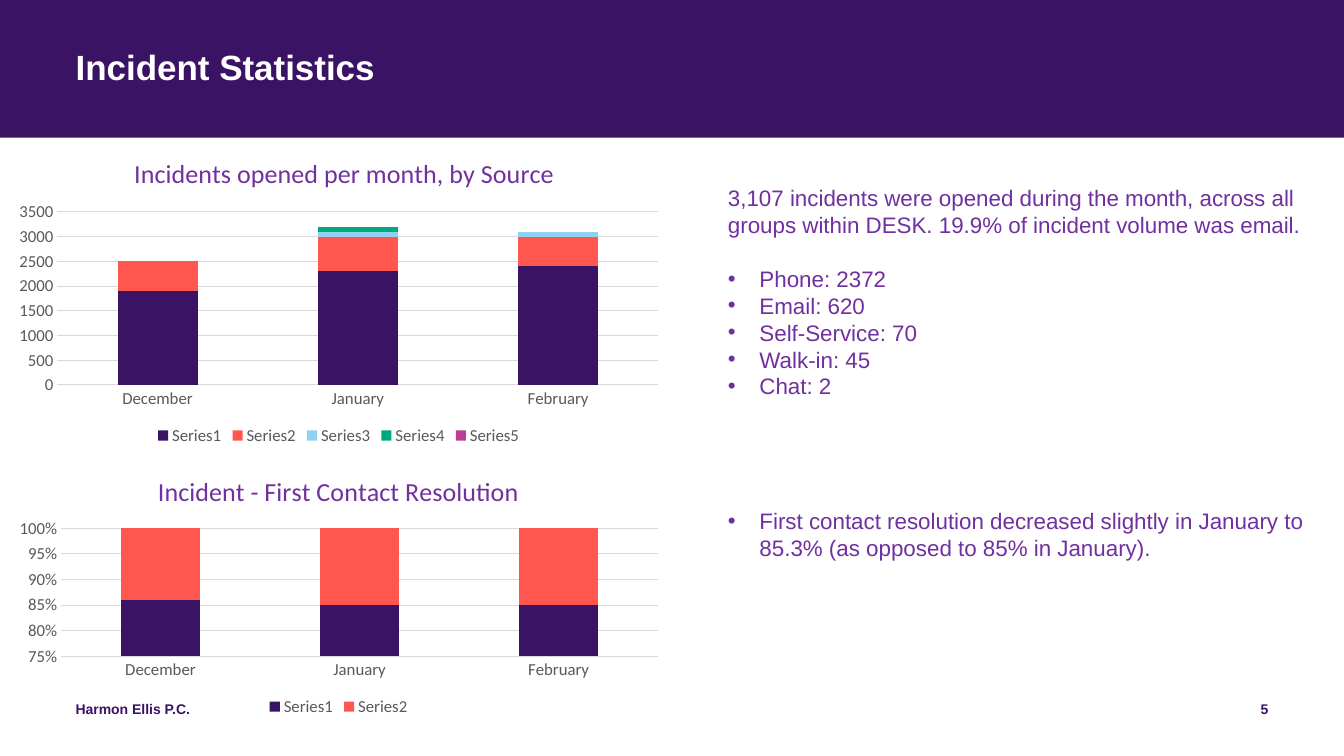
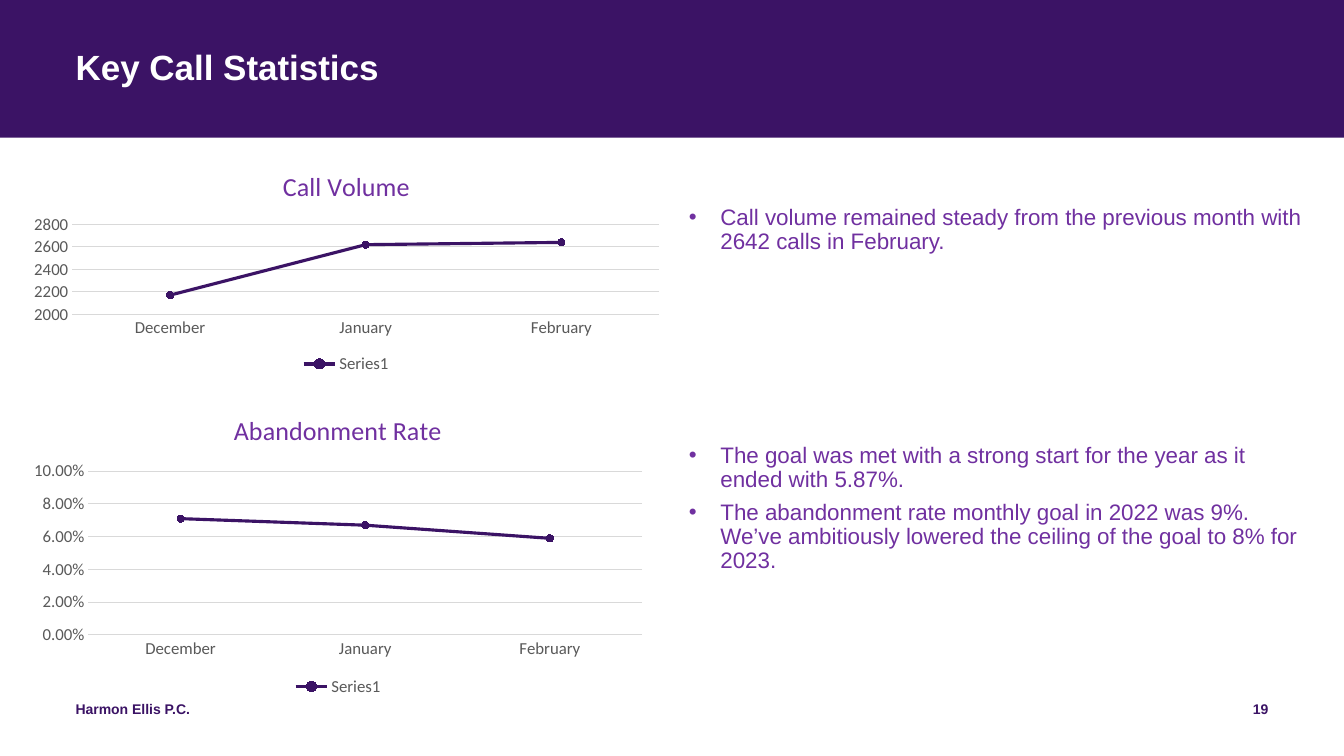
from dataclasses import dataclass
from typing import NamedTuple

from lxml import etree
from pptx import Presentation
from pptx import util as u
from pptx.chart import data
from pptx.dml import color
from pptx.enum import chart as ch
from pptx.enum import shapes, text
from pptx.oxml import ns

Pt = u.Pt


@dataclass(frozen=True)
class Theme:
    dark: str = "3B1365"
    body: str = "7030A0"
    white: str = "FFFFFF"
    gray: str = "595959"
    grid: str = "D9D9D9"
    fills: tuple[str, ...] = ("3B1365", "FF5750", "91D2F2", "00A87E", "BC3D95")
    font: str = "Arial"
    face: str = "Calibri"
    head: float = 25
    text: float = 16
    foot: float = 10
    title: float = 18.6
    label: float = 12


T = Theme()
WIDE, HIGH = 960, 540
EDGE = 54
INDENT = 22.5
FIRM = "Harmon Ellis P.C."
MONTHS = ("December", "January", "February")


class Box(NamedTuple):
    left: float
    top: float
    width: float
    height: float

    def emu(self) -> list[int]:
        return [Pt(n) for n in self]


class Scale(NamedTuple):
    low: float
    high: float
    step: float
    form: str


@dataclass(frozen=True)
class Graph:
    title: str
    kind: ch.XL_CHART_TYPE
    box: Box
    head: tuple[float, float]
    plot: Box
    scale: Scale
    rows: tuple[tuple[float, ...], ...]


@dataclass(frozen=True)
class Para:
    text: str
    bullet: bool = True
    before: float = 0


@dataclass(frozen=True)
class Note:
    box: Box
    paras: tuple[Para, ...]
    inset: tuple[float, float] = (0, 0)
    line: float = 0.9
    after: float = 6


@dataclass(frozen=True)
class Page:
    title: str
    number: str
    graphs: tuple[Graph, ...]
    notes: tuple[Note, ...]


STACK = ch.XL_CHART_TYPE.COLUMN_STACKED
SHARE = ch.XL_CHART_TYPE.COLUMN_STACKED_100
LINE = ch.XL_CHART_TYPE.LINE_MARKERS

PAGES = (
    Page(
        "Incident Statistics", "5",
        (
            Graph("Incidents opened per month, by Source", STACK,
                  Box(4.3, 100.8, 475.2, 220.3), (92.5, 107.2),
                  Box(41, 151.4, 429.3, 123.6), Scale(0, 3500, 500, "General"),
                  ((1900, 2300, 2400), (600, 700, 600), (0, 100, 100),
                   (0, 100, 0), (0, 0, 0))),
            Graph("Incident - First Contact Resolution", SHARE,
                  Box(4.3, 328.3, 475.2, 186.5), (109.5, 334.4),
                  Box(43.6, 377.4, 426.6, 91.4), Scale(0.75, 1, 0.05, "0%"),
                  ((86, 85, 85), (14, 15, 15))),
        ),
        (
            Note(Box(512.9, 128.2, 442.8, 356), (
                Para("3,107 incidents were opened during the month, across all groups "
                     "within DESK. 19.9% of incident volume was email.", False),
                Para("Phone: 2372", before=19.2),
                Para("Email: 620"),
                Para("Self-Service: 70"),
                Para("Walk-in: 45"),
                Para("Chat: 2"),
                Para("First contact resolution decreased slightly in January to 85.3% "
                     "(as opposed to 85% in January).", before=77),
            ), (7.2, 3.6), 1, 0),
        ),
    ),
    Page(
        "Key Call Statistics", "19",
        (
            Graph("Call Volume", LINE,
                  Box(15.1, 108.7, 464.4, 161.3), (198.7, 116.4),
                  Box(51.6, 160.4, 419.3, 64.2), Scale(2000, 2800, 200, "General"),
                  ((2170, 2620, 2640),)),
            Graph("Abandonment Rate", LINE,
                  Box(15.1, 282.2, 452.9, 218.2), (163.7, 291),
                  Box(63.1, 336.6, 395.7, 117), Scale(0, 0.1, 0.02, "0.00%"),
                  ((0.071, 0.067, 0.059),)),
        ),
        (
            Note(Box(492.1, 147.2, 444.2, 110), (
                Para("Call volume remained steady from the previous month with 2642 "
                     "calls in February."),
            )),
            Note(Box(492.1, 317.2, 444.2, 180), (
                Para("The goal was met with a strong start for the year as it ended "
                     "with 5.87%."),
                Para("The abandonment rate monthly goal in 2022 was 9%. We’ve "
                     "ambitiously lowered the ceiling of the goal to 8% for 2023."),
            )),
        ),
    ),
)


def rgb(code: str) -> color.RGBColor:
    return color.RGBColor.from_string(code)


def style(font, name: str, size: float, code: str, bold: bool = False) -> None:
    font.name, font.size, font.bold = name, Pt(size), bold
    font.color.rgb = rgb(code)


def frame(slide, box: Box, inset: tuple[float, float] = (0, 0)):
    """Add a wrapping text box and return its text frame."""
    body = slide.shapes.add_textbox(*box.emu()).text_frame
    body.word_wrap = True
    body.margin_left = body.margin_right = Pt(inset[0])
    body.margin_top = body.margin_bottom = Pt(inset[1])
    return body


def label(slide, box: Box, words: str, size: float, code: str, right: bool = False) -> None:
    para = frame(slide, box).paragraphs[0]
    para.text = words
    para.line_spacing = 0.9 if size == T.head else 1.0
    para.alignment = text.PP_ALIGN.RIGHT if right else text.PP_ALIGN.LEFT
    style(para.font, T.font, size, code, True)


def bullet(para) -> None:
    props = para._p.get_or_add_pPr()
    props.set("marL", str(Pt(INDENT)))
    props.set("indent", str(-Pt(INDENT)))
    etree.SubElement(props, ns.qn("a:buFont")).set("typeface", T.font)
    etree.SubElement(props, ns.qn("a:buChar")).set("char", "•")


def write(slide, note: Note) -> None:
    body = frame(slide, note.box, note.inset)
    for n, item in enumerate(note.paras):
        para = body.add_paragraph() if n else body.paragraphs[0]
        para.text = item.text
        if item.bullet:
            bullet(para)
        para.line_spacing = note.line
        para.space_before, para.space_after = Pt(item.before), Pt(note.after)
        style(para.font, T.font, T.text, T.body)


def layout(box: Box, left: float, top: float, size: tuple[float, float] | None = None):
    """Build a manual chart layout from slide positions in points."""
    root = etree.Element(ns.qn("c:layout"))
    hand = etree.SubElement(root, ns.qn("c:manualLayout"))
    pairs = [("xMode", "edge"), ("yMode", "edge"),
             ("x", (left - box.left) / box.width), ("y", (top - box.top) / box.height)]
    if size:
        pairs.insert(0, ("layoutTarget", "inner"))
        pairs += [("w", size[0] / box.width), ("h", size[1] / box.height)]
    for tag, val in pairs:
        etree.SubElement(hand, ns.qn(f"c:{tag}")).set("val", str(val))
    return root


def place(chart, graph: Graph) -> None:
    """Pin the title and the plot area."""
    root = chart.element
    area = root.find(".//" + ns.qn("c:plotArea"))
    title = root.find(ns.qn("c:chart")).find(ns.qn("c:title"))
    for part in (area, title):
        for old in part.findall(ns.qn("c:layout")):
            part.remove(old)
    area.insert(0, layout(graph.box, graph.plot.left, graph.plot.top, graph.plot[2:]))
    title.find(ns.qn("c:tx")).addnext(layout(graph.box, *graph.head))


def axes(chart, scale: Scale) -> None:
    cat, val = chart.category_axis, chart.value_axis
    for axis in (cat, val):
        axis.major_tick_mark = axis.minor_tick_mark = ch.XL_TICK_MARK.NONE
        style(axis.tick_labels.font, T.face, T.label, T.gray)
    cat.has_major_gridlines = False
    val.has_major_gridlines = True
    for line in (cat.format.line, val.major_gridlines.format.line):
        line.color.rgb, line.width = rgb(T.grid), Pt(0.75)
    val.format.line.fill.background()
    val.minimum_scale, val.maximum_scale, val.major_unit = scale[:3]
    val.tick_labels.number_format = scale.form
    val.tick_labels.number_format_is_linked = False


def paint(plot, kind: ch.XL_CHART_TYPE) -> None:
    """Colour the series."""
    plot.vary_by_categories = False
    if kind != LINE:
        plot.gap_width, plot.overlap = 150, 100
    for row, code in zip(plot.series, T.fills):
        if kind != LINE:
            row.format.fill.solid()
            row.format.fill.fore_color.rgb = rgb(code)
            continue
        row.smooth = False
        row.format.line.color.rgb, row.format.line.width = rgb(code), Pt(2.25)
        mark = row.marker
        mark.style, mark.size = ch.XL_MARKER_STYLE.CIRCLE, 5
        mark.format.fill.solid()
        mark.format.fill.fore_color.rgb = rgb(code)
        mark.format.line.color.rgb = rgb(code)


def draw(slide, graph: Graph) -> None:
    table = data.CategoryChartData()
    table.categories = MONTHS
    for n, row in enumerate(graph.rows, 1):
        table.add_series(f"Series{n}", row)
    chart = slide.shapes.add_chart(graph.kind, *graph.box.emu(), table).chart
    style(chart.font, T.face, T.foot, T.gray)
    chart.has_title = True
    para = chart.chart_title.text_frame.paragraphs[0]
    para.text = graph.title
    style(para.font, T.face, T.title, T.body)
    chart.has_legend = True
    chart.legend.position = ch.XL_LEGEND_POSITION.BOTTOM
    chart.legend.include_in_layout = False
    style(chart.legend.font, T.face, T.label, T.gray)
    axes(chart, graph.scale)
    paint(chart.plots[0], graph.kind)
    place(chart, graph)


def base(slide, page: Page) -> None:
    """Draw the band, title and footer."""
    band = slide.shapes.add_shape(shapes.MSO_SHAPE.RECTANGLE, *Box(0, 0, WIDE, 98.3).emu())
    band.shadow.inherit = False
    band.fill.solid()
    band.fill.fore_color.rgb = rgb(T.dark)
    band.line.fill.background()
    label(slide, Box(EDGE, 36, WIDE - 2 * EDGE, 58), page.title, T.head, T.white)
    label(slide, Box(EDGE, 500.4, 324, 28.8), FIRM, T.foot, T.dark)
    label(slide, Box(WIDE - EDGE - 216, 500.4, 216, 28.8), page.number, T.foot, T.dark, True)


def main() -> None:
    deck = Presentation()
    deck.slide_width, deck.slide_height = Pt(WIDE), Pt(HIGH)
    for page in PAGES:
        slide = deck.slides.add_slide(deck.slide_layouts[6])
        base(slide, page)
        for graph in page.graphs:
            draw(slide, graph)
        for note in page.notes:
            write(slide, note)
    deck.save("out.pptx")


if __name__ == "__main__":
    main()
